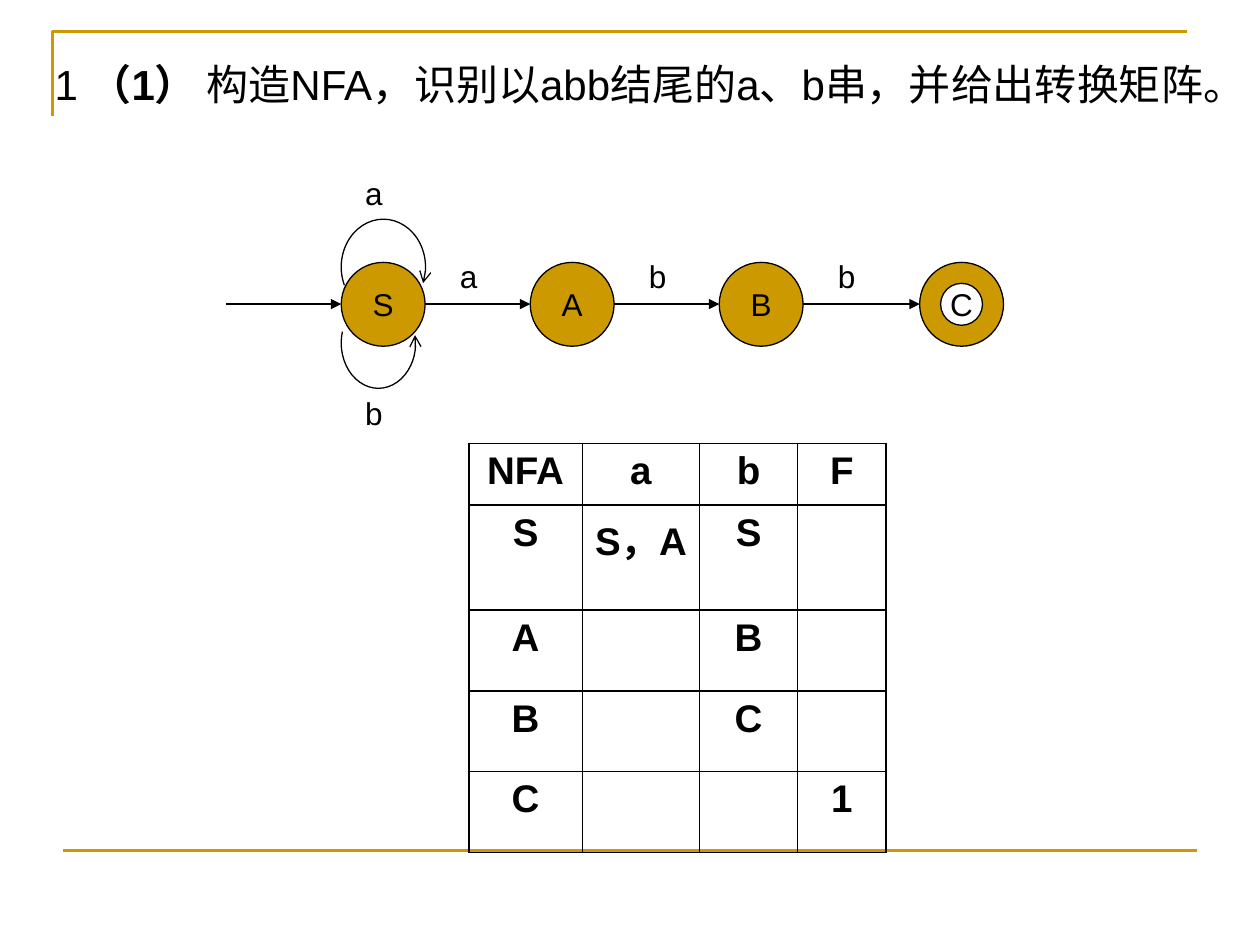
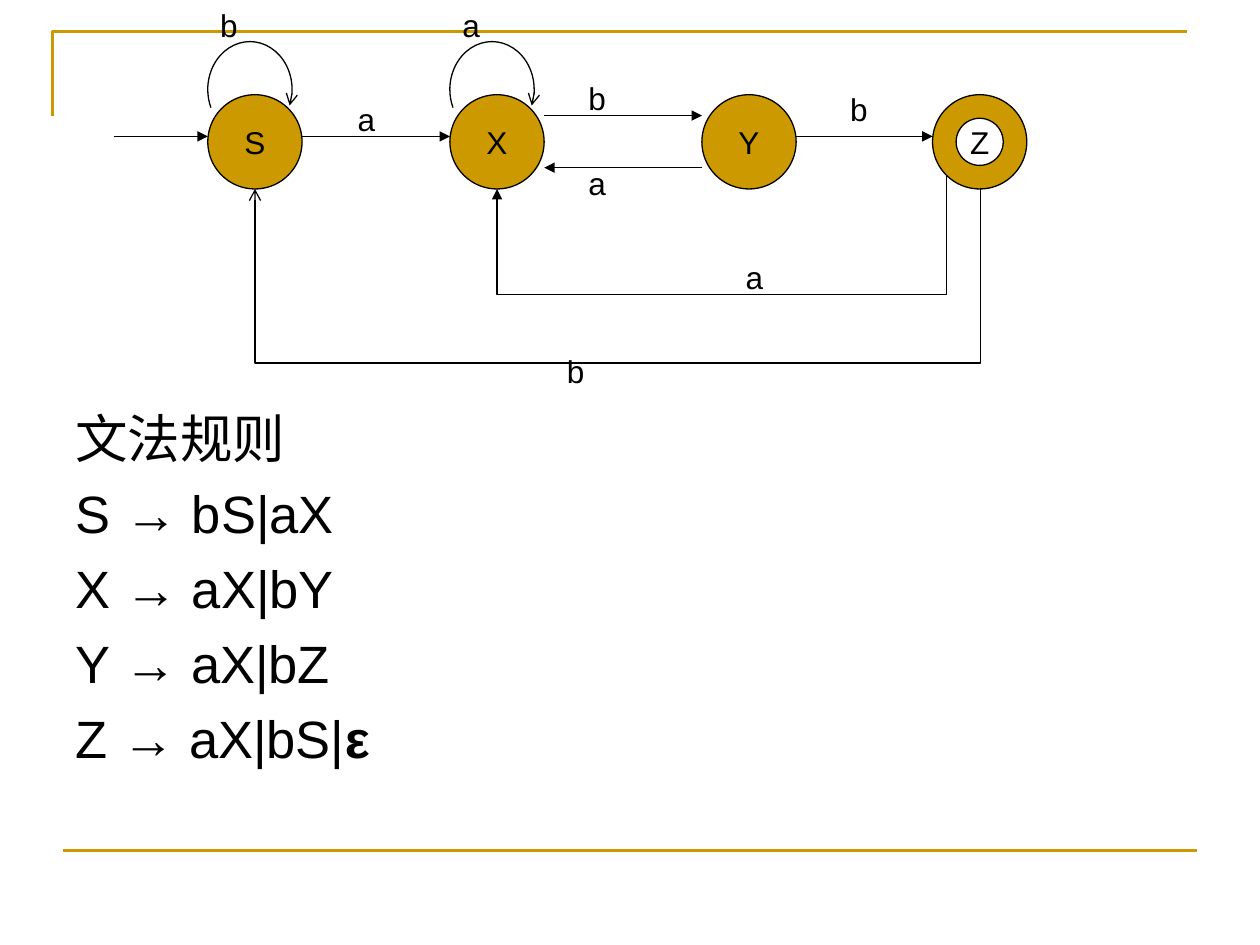
import pptx
import pptx.util
import pptx.dml.color
import pptx.enum.shapes
import pptx.enum.text
import pptx.oxml
import pptx.oxml.ns

Cm, Pt = pptx.util.Cm, pptx.util.Pt
SHAPE = pptx.enum.shapes.MSO_SHAPE
CONNECTOR = pptx.enum.shapes.MSO_CONNECTOR
ALIGN = pptx.enum.text.PP_ALIGN

GOLD = pptx.dml.color.RGBColor(0xCC, 0x99, 0x00)
BLACK = pptx.dml.color.RGBColor(0, 0, 0)
FONT = "Arial"

# Positions and sizes are in centimetres. A paragraph is a list of (text, bold) runs.
QUESTION = [[("1", False), (" （1） ", True),
             ("构造NFA，识别以abb结尾的a、b串，并给出转换矩阵。", False)]]

GRAMMAR = [[("文法规则", False)]] + [
    [(f"{symbol} ", False), ("→", True), (f" {rules}", False)]
    for symbol, rules in (("S", "bS|aX"), ("X", "aX|bY"), ("Y", "aX|bZ"), ("Z", "aX|bS|"))
]
GRAMMAR[-1].append(("ε", True))

TRANSITIONS = [
    ["NFA", "a", "b", "F"],
    ["S", "S，A", "S", ""],
    ["A", "", "B", ""],
    ["B", "", "C", ""],
    ["C", "", "", "1"],
]
COLUMN_WIDTHS = [2.29, 2.36, 1.98, 1.78]
ROW_HEIGHTS = [1.24] + [1.63] * 4

# A loop is (left, top, width, height, start angle, end angle, arrow at which end).
TOP_LOOP = (1.7, 1.93, 155, 22, "tailEnd")
ENDING_ABB = {
    "diameter": 1.69, "top": 5.29, "entry": (2.32, 6.13),
    "states": {"S": 6.88, "A": 10.69, "B": 14.5, "C": 18.54},
    "final": "C",
    "arrows": [("S", "A", 6.13), ("A", "B", 6.13), ("B", "C", 6.13)],
    "loops": [(6.88, 4.42, *TOP_LOOP), (6.88, 6, 1.5, 1.83, 348, 197.5, "headEnd")],
    "returns": [],
    "labels": [("b", 12.83, 5.05), ("b", 16.64, 5.05), ("a", 9.02, 5.05),
               ("a", 7.11, 3.38), ("b", 7.11, 7.82)],
}
GRAMMAR_MACHINE = {
    "diameter": 1.9, "top": 1.91, "entry": (1.9, 2.75),
    "states": {"S": 4.19, "X": 9.07, "Y": 14.15, "Z": 18.8},
    "final": "Z",
    "arrows": [("S", "X", 2.75), ("X", "Y", 2.33), ("Y", "X", 3.38), ("Y", "Z", 2.75)],
    "loops": [(4.19, 0.84, *TOP_LOOP), (9.07, 0.84, *TOP_LOOP)],
    # start x, start y, target state, lowest y, arrowhead
    "returns": [(19.76, 3.79, "S", 7.32, "arrow"), (19.08, 3.53, "X", 5.94, "triangle")],
    "labels": [("b", 4.19, 0), ("a", 9.07, 0), ("a", 6.96, 1.9), ("b", 11.61, 1.47),
               ("a", 11.61, 3.18), ("b", 16.89, 1.7), ("b", 11.18, 6.98),
               ("a", 14.78, 5.08)],
}


def add_element(parent, tag, **attributes):
    element = parent.makeelement(pptx.oxml.ns.qn(tag), attributes)
    parent.append(element)
    return element


def outline(shape, color=BLACK, width=0.75, arrow_end=None, head="triangle"):
    shape.line.color.rgb = color
    shape.line.width = Pt(width)
    if arrow_end:
        add_element(shape.element.spPr.get_or_add_ln(), f"a:{arrow_end}", type=head)


def add_line(slide, start, end, kind=CONNECTOR.STRAIGHT, **style):
    connector = slide.shapes.add_connector(kind, *map(Cm, (*start, *end)))
    outline(connector, **style)
    add_element(connector.element.spPr, "a:effectLst")
    return connector


def add_return(slide, start, end, lowest, head):
    """Elbow arrow that runs down from start, left, and up to end."""
    drop, span = end[1] - start[1], start[0] - end[0]
    left = (start[0] + end[0] - drop) / 2
    top = (start[1] + end[1] - span) / 2
    elbow = add_line(slide, (left, top), (left + drop, top + span), CONNECTOR.ELBOW,
                     arrow_end="tailEnd", head=head)
    properties = elbow.element.spPr
    properties.find(pptx.oxml.ns.qn("a:xfrm")).set("rot", str(90 * 60000))
    bend = round((lowest - start[1]) / drop * 100000)
    adjustments = properties.find(".//" + pptx.oxml.ns.qn("a:avLst"))
    add_element(adjustments, "a:gd", name="adj1", fmla=f"val {bend}")


def write(paragraph, text, size, bold=False):
    run = paragraph.add_run()
    run.text = text
    run.font.name, run.font.size, run.font.bold = FONT, Pt(size), bold
    run.font.color.rgb = BLACK


def add_text(slide, box, paragraphs, size, hanging=0):
    frame = slide.shapes.add_textbox(*map(Cm, box)).text_frame
    frame.word_wrap = True
    for number, runs in enumerate(paragraphs):
        paragraph = frame.add_paragraph() if number else frame.paragraphs[0]
        if number:
            paragraph.space_before = Pt(size * 0.23)
        if hanging:
            indent = paragraph._p.get_or_add_pPr()
            indent.set("marL", str(Cm(hanging)))
            indent.set("indent", str(-Cm(hanging)))
        for text, bold in runs:
            write(paragraph, text, size, bold)


def add_state(slide, name, left, top, diameter, final):
    kind = SHAPE.DONUT if final else SHAPE.OVAL
    state = slide.shapes.add_shape(kind, *map(Cm, (left, top, diameter, diameter)))
    state.shadow.inherit = False
    state.fill.solid()
    state.fill.fore_color.rgb = GOLD
    outline(state)
    state.text_frame.word_wrap = False
    state.text_frame.vertical_anchor = pptx.enum.text.MSO_ANCHOR.MIDDLE
    caption = state.text_frame.paragraphs[0]
    caption.alignment = ALIGN.CENTER
    write(caption, name, 18)


def add_loop(slide, left, top, width, height, start, end, arrow_end):
    loop = slide.shapes.add_shape(SHAPE.ARC, *map(Cm, (left, top, width, height)))
    for index, angle in enumerate((start, end)):
        loop.adjustments[index] = angle * 60000 / 100000
    loop.fill.background()
    outline(loop, arrow_end=arrow_end, head="arrow")
    loop.shadow.inherit = False


def add_automaton(slide, machine):
    states, diameter, top = machine["states"], machine["diameter"], machine["top"]
    for name, left in states.items():
        add_state(slide, name, left, top, diameter, name == machine["final"])
    length, y = machine["entry"]
    add_line(slide, (states["S"] - length, y), (states["S"], y), arrow_end="tailEnd")
    for source, target, y in machine["arrows"]:
        start, end = states[source], states[target]
        if start < end:
            start += diameter
        else:
            end += diameter
        add_line(slide, (start, y), (end, y), arrow_end="tailEnd")
    for loop in machine["loops"]:
        add_loop(slide, *loop)
    for x, y, target, lowest, head in machine["returns"]:
        below_target = (states[target] + diameter / 2, top + diameter)
        add_return(slide, (x, y), below_target, lowest, head)
    for text, x, y in machine["labels"]:
        add_text(slide, (x, y, 1.2, 1.02), [[(text, False)]], 18)


def add_border(cell):
    properties = cell._tc.get_or_add_tcPr()
    for side in ("lnL", "lnR", "lnT", "lnB"):
        line = add_element(properties, f"a:{side}", w=str(Pt(1)))
        add_element(add_element(line, "a:solidFill"), "a:srgbClr", val=str(BLACK))


def add_transition_table(slide, left, top):
    table = slide.shapes.add_table(
        len(TRANSITIONS), len(COLUMN_WIDTHS), Cm(left), Cm(top),
        Cm(sum(COLUMN_WIDTHS)), Cm(sum(ROW_HEIGHTS))).table
    table.first_row = table.horz_banding = False
    for column, width in zip(table.columns, COLUMN_WIDTHS):
        column.width = Cm(width)
    for row, height, texts in zip(table.rows, ROW_HEIGHTS, TRANSITIONS):
        row.height = Cm(height)
        for cell, text in zip(row.cells, texts):
            add_border(cell)
            cell.fill.background()
            entry = cell.text_frame.paragraphs[0]
            entry.alignment = ALIGN.CENTER
            if text:
                write(entry, text, 22, True)


def add_framed_slide(deck):
    slide = deck.slides.add_slide(deck.slide_layouts[6])
    builder = slide.shapes.build_freeform(Cm(1.06), Cm(2.33))
    builder.add_line_segments([(Cm(1.06), Cm(0.64)), (Cm(23.92), Cm(0.64))], close=False)
    corner = builder.convert_to_shape()
    corner.fill.background()
    outline(corner, GOLD, 1.5)
    corner.shadow.inherit = False
    add_line(slide, (1.27, 17.15), (24.13, 17.15), color=GOLD, width=1.5)
    return slide


def main():
    deck = pptx.Presentation()
    deck.slide_width, deck.slide_height = Cm(25.4), Cm(19.05)

    matrix_slide = add_framed_slide(deck)
    add_text(matrix_slide, (0.85, 1.06, 23.92, 2.4), QUESTION, 24, hanging=0.95)
    add_automaton(matrix_slide, ENDING_ABB)
    add_transition_table(matrix_slide, 9.45, 8.94)

    grammar_slide = add_framed_slide(deck)
    add_text(grammar_slide, (1.27, 8.06, 22.86, 9), GRAMMAR, 30, hanging=0.95)
    add_automaton(grammar_slide, GRAMMAR_MACHINE)

    deck.save("out.pptx")


if __name__ == "__main__":
    main()
